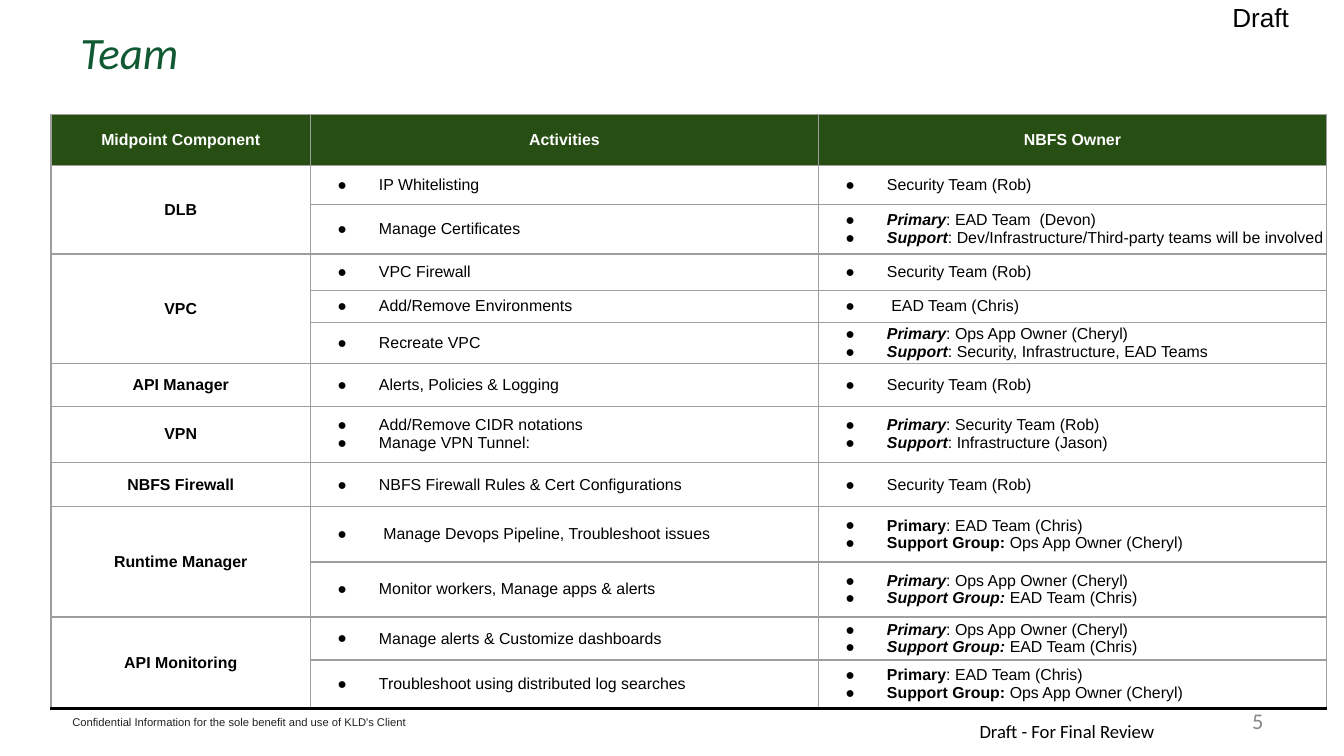
from dataclasses import dataclass

from lxml import etree
from pptx import Presentation
from pptx.dml.color import RGBColor
from pptx.enum.text import MSO_ANCHOR, PP_ALIGN
from pptx.oxml.ns import qn
from pptx.util import Inches, Pt

LEFT, CENTER, RIGHT = PP_ALIGN.LEFT, PP_ALIGN.CENTER, PP_ALIGN.RIGHT
TOP, MIDDLE = MSO_ANCHOR.TOP, MSO_ANCHOR.MIDDLE


@dataclass(frozen=True)
class Theme:
    body_font: str = "Arial"
    heading_font: str = "Calibri"
    title: str = "105932"
    header: str = "274E13"
    white: str = "FFFFFF"
    black: str = "000000"
    notice: str = "222222"
    number: str = "888888"
    grid: str = "9E9E9E"
    title_size: float = 24
    draft_size: float = 14
    number_size: float = 12
    review_size: float = 10
    table_size: float = 8.5
    notice_size: float = 6
    grid_width: float = 0.75
    base_width: float = 2.25


THEME = Theme()

COLUMN_WIDTHS = [1.93, 3.78, 3.78]
ROW_HEIGHTS = [0.38, 0.29, 0.37, 0.27, 0.24, 0.24, 0.32, 0.42, 0.33, 0.41, 0.41, 0.32, 0.36]
HEADINGS = ["Midpoint Component", "Activities", "NBFS Owner"]

SECURITY = [("", "Security Team (Rob)", False)]
EAD_FIRST = [("Primary", ": EAD Team (Chris)", False),
             ("Support Group:", " Ops App Owner (Cheryl)", False)]
OPS_FIRST = [("Primary", ": Ops App Owner (Cheryl)", True),
             ("Support Group:", " EAD Team (Chris)", True)]

COMPONENTS = [
    ("DLB", [
        (["IP Whitelisting"], SECURITY),
        (["Manage Certificates"], [
            ("Primary", ": EAD Team  (Devon)", True),
            ("Support", ": Dev/Infrastructure/Third-party teams will be involved", True)]),
    ]),
    ("VPC", [
        (["VPC Firewall"], SECURITY),
        (["Add/Remove Environments"], [("", " EAD Team (Chris)", False)]),
        (["Recreate VPC"], [
            ("Primary", ": Ops App Owner (Cheryl)", True),
            ("Support", ": Security, Infrastructure, EAD Teams", True)]),
    ]),
    ("API Manager", [(["Alerts, Policies & Logging"], SECURITY)]),
    ("VPN", [
        (["Add/Remove CIDR notations", "Manage VPN Tunnel:"], [
            ("Primary", ": Security Team (Rob)", True),
            ("Support", ": Infrastructure (Jason)", True)]),
    ]),
    ("NBFS Firewall", [(["NBFS Firewall Rules & Cert Configurations"], SECURITY)]),
    ("Runtime Manager", [
        ([" Manage Devops Pipeline, Troubleshoot issues"], EAD_FIRST),
        (["Monitor workers, Manage apps & alerts"], OPS_FIRST),
    ]),
    ("API Monitoring", [
        (["Manage alerts & Customize dashboards"], OPS_FIRST),
        (["Troubleshoot using distributed log searches"], EAD_FIRST),
    ]),
]


def add_run(paragraph, text, size, color, font, bold=False, italic=False):
    run = paragraph.add_run()
    run.text = text
    run.font.name = font
    run.font.size = Pt(size)
    run.font.bold = bold
    run.font.italic = italic
    run.font.color.rgb = RGBColor.from_string(color)


def add_label(slide, box, text, size, color, font, align=LEFT, anchor=TOP,
              inset=0.1, italic=False):
    frame = slide.shapes.add_textbox(*map(Inches, box)).text_frame
    frame.word_wrap = True
    frame.vertical_anchor = anchor
    frame.margin_left = frame.margin_right = Inches(0.1)
    frame.margin_top = frame.margin_bottom = Inches(inset)
    paragraph = frame.paragraphs[0]
    paragraph.alignment = align
    add_run(paragraph, text, size, color, font, italic=italic)


def add_bullet(paragraph):
    properties = paragraph._p.get_or_add_pPr()
    properties.set("marL", str(Inches(0.5)))
    properties.set("indent", str(Inches(-0.31)))
    bullet_color = etree.SubElement(properties, qn("a:buClr"))
    etree.SubElement(bullet_color, qn("a:srgbClr"), val=THEME.black)
    etree.SubElement(properties, qn("a:buFont"), typeface=THEME.body_font)
    etree.SubElement(properties, qn("a:buChar"), char="●")


def set_borders(cell, is_base):
    properties = cell._tc.get_or_add_tcPr()
    for position, side in enumerate(["lnL", "lnR", "lnT", "lnB"]):
        thick = is_base and side == "lnB"
        width = THEME.base_width if thick else THEME.grid_width
        border = etree.Element(qn(f"a:{side}"), w=str(Pt(width)))
        fill = etree.SubElement(border, qn("a:solidFill"))
        etree.SubElement(fill, qn("a:srgbClr"), val=THEME.black if thick else THEME.grid)
        properties.insert(position, border)


def format_cell(cell, inset, is_base):
    cell.vertical_anchor = MIDDLE
    cell.margin_left = cell.margin_right = Inches(inset)
    cell.margin_top = cell.margin_bottom = Inches(inset)
    cell.fill.background()
    set_borders(cell, is_base)


def write_heading(cell, text, color):
    paragraph = cell.text_frame.paragraphs[0]
    paragraph.alignment = CENTER
    add_run(paragraph, text, THEME.table_size, color, THEME.body_font, bold=True)


def write_bullets(cell, entries):
    frame = cell.text_frame
    for index, (role, detail, italic) in enumerate(entries):
        paragraph = frame.add_paragraph() if index else frame.paragraphs[0]
        add_bullet(paragraph)
        if role:
            add_run(paragraph, role, THEME.table_size, THEME.black, THEME.body_font,
                    bold=True, italic=italic)
        add_run(paragraph, detail, THEME.table_size, THEME.black, THEME.body_font)


def add_team_table(slide):
    box = (0.38, 0.85, sum(COLUMN_WIDTHS), sum(ROW_HEIGHTS))
    table = slide.shapes.add_table(
        len(ROW_HEIGHTS), len(COLUMN_WIDTHS), *map(Inches, box)).table
    for column, width in zip(table.columns, COLUMN_WIDTHS):
        column.width = Inches(width)
    for row, height in zip(table.rows, ROW_HEIGHTS):
        row.height = Inches(height)

    first = 1
    for component, duties in COMPONENTS:
        component_cell = table.cell(first, 0)
        if len(duties) > 1:
            component_cell.merge(table.cell(first + len(duties) - 1, 0))
        write_heading(component_cell, component, THEME.black)
        for row, (activities, owners) in enumerate(duties, first):
            write_bullets(table.cell(row, 1), [("", name, False) for name in activities])
            write_bullets(table.cell(row, 2), owners)
        first += len(duties)

    for index, row in enumerate(table.rows):
        for cell in row.cells:
            span = cell.span_height if cell.is_merge_origin else 1
            format_cell(cell, 0.01 if index else 0.1, index + span == len(ROW_HEIGHTS))

    for column, heading in enumerate(HEADINGS):
        cell = table.cell(0, column)
        cell.fill.solid()
        cell.fill.fore_color.rgb = RGBColor.from_string(THEME.header)
        write_heading(cell, heading, THEME.white)


def main():
    deck = Presentation()
    deck.slide_width = Inches(10)
    deck.slide_height = Inches(10) * 9 // 16
    slide = deck.slides.add_slide(deck.slide_layouts[6])
    add_label(slide, (0.5, 0.19, 7.69, 0.38), "Team", THEME.title_size, THEME.title,
              THEME.heading_font, anchor=MIDDLE, inset=0.05, italic=True)
    add_team_table(slide)
    add_label(slide, (7.17, 5.21, 2.33, 0.3), "5", THEME.number_size, THEME.number,
              THEME.heading_font, align=RIGHT, anchor=MIDDLE, inset=0.05)
    add_label(slide, (7.19, 5.27, 1.83, 0.3), "Draft - For Final Review",
              THEME.review_size, THEME.black, THEME.heading_font)
    add_label(slide, (0.44, 5.27, 2.84, 0.22),
              "Confidential Information for the sole benefit and use of KLD's Client",
              THEME.notice_size, THEME.notice, THEME.body_font)
    add_label(slide, (8.53, -0.09, 1.16, 0.44), "Draft", THEME.draft_size, THEME.black,
              THEME.body_font, align=RIGHT)
    deck.save("out.pptx")


if __name__ == "__main__":
    main()
